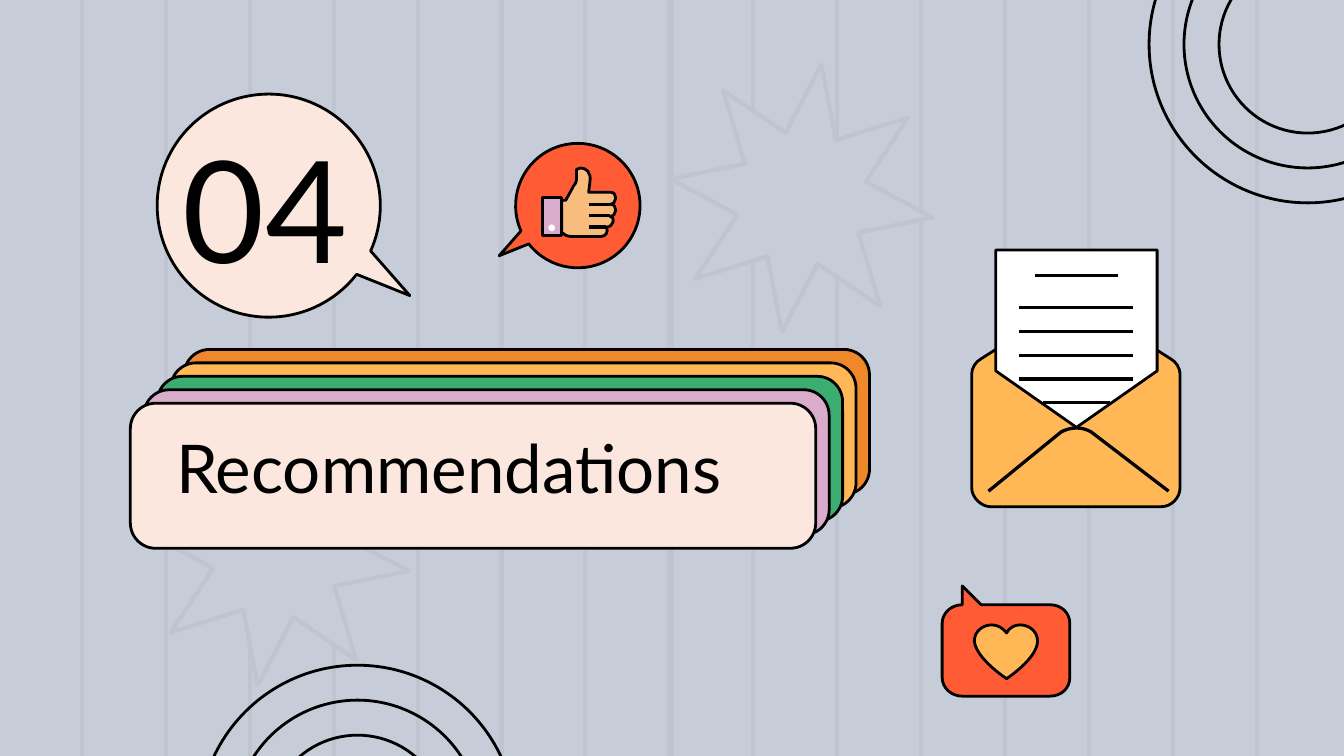
import math
from dataclasses import dataclass
from typing import Optional

import pptx
import pptx.dml.color
import pptx.enum.shapes
import pptx.enum.text
import pptx.oxml.ns
import pptx.util
from lxml import etree

SHAPE = pptx.enum.shapes.MSO_SHAPE
qn = pptx.oxml.ns.qn


@dataclass(frozen=True)
class Theme:
    back: str = "C6CDD8"
    faint: str = "C0C4CE"
    ink: str = "000000"
    cream: str = "FCE7DF"
    lilac: str = "DAACCB"
    green: str = "3BAD70"
    amber: str = "FFB855"
    orange: str = "EE882B"
    red: str = "FF5B34"
    skin: str = "F8BC7D"
    white: str = "FFFFFF"
    font: str = "Lato"
    number_size: float = 76
    title_size: float = 36
    outline: float = 1.5
    stroke: float = 1.75
    faint_line: float = 2.25


@dataclass(frozen=True)
class Box:
    """A place on the grid, in columns and rows."""
    x: float
    y: float
    w: float
    h: float


@dataclass(frozen=True)
class Bubble:
    """A round speech bubble; side is 1 for a tail on the right, -1 for the left."""
    x: float
    y: float
    r: float
    side: int
    fill: str


@dataclass(frozen=True)
class Rule:
    """A horizontal stroke."""
    x1: float
    x2: float
    y: float


T = Theme()
COLS, ROWS = 100, 56.25  # grid of square cells

prs = pptx.Presentation()
prs.slide_width = pptx.util.Inches(10)
prs.slide_height = pptx.util.Inches(5.625)
CELL = prs.slide_width / COLS
s = prs.slides.add_slide(prs.slide_layouts[0])


def emu(cells: float) -> int:
    return round(cells * CELL)


def rgb(color: str) -> pptx.dml.color.RGBColor:
    return pptx.dml.color.RGBColor.from_string(color)


def paint(sp, fill: Optional[str], line: Optional[str] = T.ink, width: float = T.outline) -> None:
    sp.shadow.inherit = False
    if fill:
        sp.fill.solid()
        sp.fill.fore_color.rgb = rgb(fill)
    else:
        sp.fill.background()
    if line:
        sp.line.color.rgb = rgb(line)
        sp.line.width = pptx.util.Pt(width)
    else:
        sp.line.fill.background()


def preset(kind, box: Box, fill: Optional[str], line: Optional[str] = T.ink, width: float = T.outline):
    sp = s.shapes.add_shape(kind, emu(box.x), emu(box.y), emu(box.w), emu(box.h))
    paint(sp, fill, line, width)
    return sp


def stroke(x1: float, y1: float, x2: float, y2: float, color: str = T.ink, width: float = T.stroke) -> None:
    cx = s.shapes.add_connector(pptx.enum.shapes.MSO_CONNECTOR.STRAIGHT,
                                emu(x1), emu(y1), emu(x2), emu(y2))
    cx.line.color.rgb = rgb(color)
    cx.line.width = pptx.util.Pt(width)
    etree.SubElement(cx._element.spPr, qn("a:effectLst"))


def outline(steps: list, fill: Optional[str], close: bool = True, width: float = T.outline) -> None:
    """Draw steps: a pair is a straight step, six numbers are a cubic curve."""
    pts = [(emu(st[i]), emu(st[i + 1])) for st in steps for i in range(0, len(st), 2)]
    builder = s.shapes.build_freeform(*pts[0])
    builder.add_line_segments(pts[1:], close=close)
    sp = builder.convert_to_shape()
    # Gather each curve's three points into one cubic segment
    lines = sp._element.findall(".//" + qn("a:lnTo"))
    for step in steps[1:]:
        count = len(step) // 2
        group, lines = lines[:count], lines[count:]
        if count == 3:
            curve = etree.Element(qn("a:cubicBezTo"))
            group[0].addprevious(curve)
            for line in group:
                curve.append(line[0])
                line.getparent().remove(line)
    paint(sp, fill, width=width)


def bubble(b: Bubble) -> None:
    def at(u: float, v: float) -> tuple:
        return b.x + b.side * b.r * u, b.y + b.r * v

    start, sweep = math.radians(38), math.radians(346 / 4)  # the tail fills the gap
    k = 4 / 3 * math.tan(sweep / 4)
    steps = [at(math.cos(start), math.sin(start))]
    for i in range(4):
        a, e = start + i * sweep, start + (i + 1) * sweep
        steps.append(at(math.cos(a) - k * math.sin(a), math.sin(a) + k * math.cos(a))
                     + at(math.cos(e) + k * math.sin(e), math.sin(e) - k * math.cos(e))
                     + at(math.cos(e), math.sin(e)))
    outline(steps + [at(1.265, 0.807)], b.fill)


def heading(sp, text: str, box: Box, size: float) -> None:
    sp.left, sp.top, sp.width, sp.height = map(emu, (box.x, box.y, box.w, box.h))
    tf = sp.text_frame
    tf.text = text
    tf.word_wrap = True
    tf.auto_size = pptx.enum.text.MSO_AUTO_SIZE.NONE
    tf.vertical_anchor = pptx.enum.text.MSO_ANCHOR.TOP
    tf.margin_left = tf.margin_right = tf.margin_bottom = emu(1)
    tf.margin_top = 0
    p = tf.paragraphs[0]
    p.alignment = pptx.enum.text.PP_ALIGN.LEFT
    p.space_before = pptx.util.Pt(0)
    r = p.runs[0]
    r.font.name = T.font
    r.font.size = pptx.util.Pt(size)
    r.font.color.rgb = rgb(T.ink)
    s.shapes._spTree.append(sp._element)  # bring to front


# Background: stripes, stars and rings
s.background.fill.solid()
s.background.fill.fore_color.rgb = rgb(T.back)
for x in [6.1 + 6.243 * i for i in range(15)] + [COLS / 2]:
    stroke(x, 0, x, ROWS, T.faint, T.faint_line)
for x, y in ((49.8, 4.7), (10.8, 31)):
    star = preset(SHAPE.STAR_8_POINT, Box(x, y, 19.7, 20.1), T.back, T.faint, T.faint_line)
    star.adjustments[0] = 0.25
    star.rotation = 8.4
for x, y in ((97.3, 3.3), (26.6, 61.3)):
    for radius in (11.8, 9.2, 6.6):
        preset(SHAPE.OVAL, Box(x - radius, y - radius, 2 * radius, 2 * radius), None)

# Stacked cards, back to front
for i, color in enumerate((T.orange, T.amber, T.green, T.lilac, T.cream)):
    card = preset(SHAPE.ROUNDED_RECTANGLE, Box(13.7 - i, 26 + i, 51, 10.8), color)
    card.adjustments[0] = 0.175

# Round speech bubble for the number
bubble(Bubble(20, 15.3, 8.3, 1, T.cream))

# Heart in a rounded bubble
outline([(71.6, 51.8), (70.8, 51.8, 70.1, 51.2, 70.1, 50.4), (70.1, 46.4),
         (70.1, 45.6, 70.8, 45, 71.6, 45), (71.6, 43.6), (73, 45), (78.1, 45),
         (79, 45, 79.6, 45.6, 79.6, 46.4), (79.6, 50.4),
         (79.6, 51.2, 79, 51.8, 78.1, 51.8)], T.red)
outline([(73.8, 46.5), (73.1, 46.5, 72.5, 47, 72.5, 47.7), (72.6, 49, 74.9, 50.5, 74.9, 50.5),
         (74.9, 50.5, 77.2, 49, 77.2, 47.7), (77.2, 47, 76.6, 46.5, 75.9, 46.5),
         (75.5, 46.5, 75.1, 46.7, 74.9, 47.1), (74.6, 46.7, 74.2, 46.5, 73.8, 46.5)], T.amber)

# Thumb with cuff, button and finger lines in a round bubble
bubble(Bubble(43, 15.3, 4.63, -1, T.red))
outline([(43.2, 12.5), (43.6, 12.5, 44, 12.8, 43.9, 13.5), (43.8, 14.3), (45.4, 14.3),
         (46, 14.3, 45.9, 15.2, 45.4, 15.2), (46, 15.2, 45.9, 16.1, 45.4, 16.1),
         (45.8, 16.1, 45.7, 16.9, 45.1, 16.9), (45.3, 17.2, 45.1, 17.6, 44.7, 17.6),
         (42.6, 17.6), (42.2, 17.6, 42, 17.5, 41.8, 17.3), (41.8, 14.9), (42.1, 14.9),
         (42.7, 13.8), (42.9, 13.6, 42.9, 13.4, 42.9, 13.1), (42.9, 12.6),
         (43, 12.5, 43.1, 12.5, 43.2, 12.5)], T.skin)
preset(SHAPE.RECTANGLE, Box(40.35, 14.7, 1.45, 2.8), T.lilac)
for i, x2 in enumerate((45.4, 45.4, 45.1)):
    stroke(43.8, 15.2 + 0.85 * i, x2, 15.2 + 0.85 * i)
preset(SHAPE.OVAL, Box(40.8, 16.7, 0.5, 0.5), T.white, None)

# Section number and title
heading(s.placeholders[1], "04", Box(12.6, 9.05, 16.3, 12.5), T.number_size)
heading(s.shapes.title, "Recommendations", Box(12.1, 31.7, 52.8, 11.9), T.title_size)

# Envelope, letter and flap
outline([(80.1, 22.5), (79.8, 22.5, 79.5, 22.6, 79.3, 22.7), (73, 26.7),
         (72.6, 26.9, 72.3, 27.4, 72.3, 27.8), (72.3, 36.3), (72.3, 37, 73, 37.7, 73.7, 37.7),
         (86.4, 37.7), (87.2, 37.7, 87.8, 37, 87.8, 36.3), (87.8, 27.8),
         (87.8, 27.4, 87.5, 26.9, 87.1, 26.7), (80.8, 22.7),
         (80.6, 22.6, 80.3, 22.5, 80.1, 22.5)], T.amber)
outline([(74.1, 18.6), (74.1, 27.6), (80.1, 31.8), (86.1, 27.6), (86.1, 18.6)], T.white)
outline([(73.55, 36.55), (78.95, 32.15), (79.3, 31.95, 79.7, 31.85, 80.1, 31.85),
         (80.5, 31.85, 80.85, 31.95, 81.2, 32.15), (86.95, 36.55)], None, False, T.stroke)

# Lines of the letter's text
body = [Rule(75.8, 84.3, 22.9 + 1.77 * i) for i in range(4)]
for rule in [Rule(77, 83.2, 20.5)] + body + [Rule(77.6, 82.6, 29.95)]:
    stroke(rule.x1, rule.y, rule.x2, rule.y)

prs.save("out.pptx")
